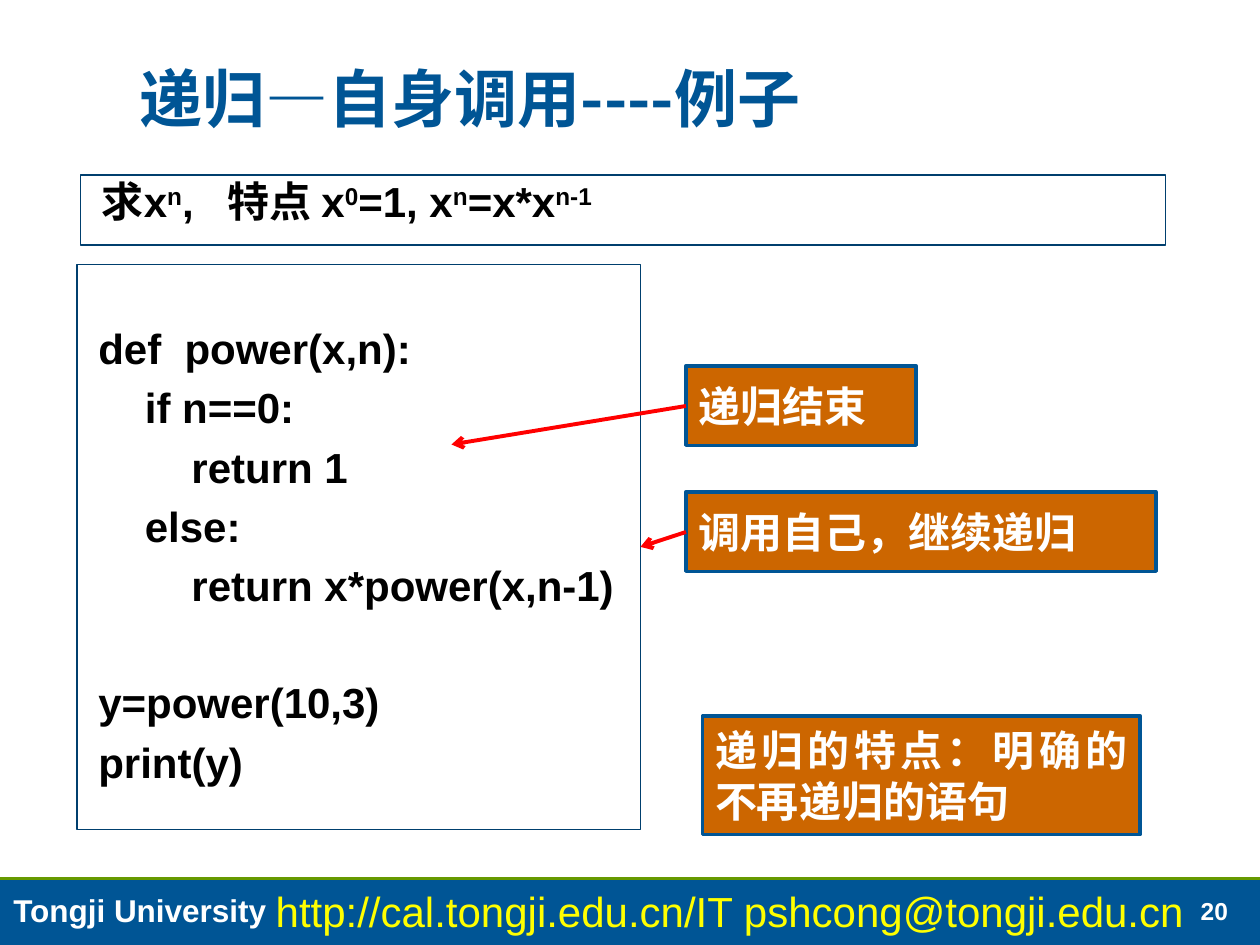
from lxml import etree
from pptx import Presentation
from pptx.dml.color import RGBColor
from pptx.enum import shapes, text
from pptx.oxml import ns
from pptx.util import Pt

CODE = [
    "def  power(x,n):",
    "    if n==0:",
    "        return 1",
    "    else:",
    "        return x*power(x,n-1)",
    "y=power(10,3)",
    "print(y)",
]
FORMULA = ["求x", "n", ",\t特点 x", "0", "=1, x", "n", "=x*x", "n-1"]


def color(value):
    return RGBColor.from_string(value)


def child(parent, tag, **attrs):
    return etree.SubElement(parent, ns.qn(tag), attrs)


class Deck:
    font = "Arial"
    cjk = "Noto Sans CJK SC"
    blue, navy, orange = "005595", "003F6E", "CC6600"
    green, red, yellow = "669900", "FF0000", "FFFF00"
    white, black = "FFFFFF", "000000"

    def __init__(self, prs):
        self.s = prs.slides.add_slide(prs.slide_layouts[3])

    def place(self, sp, box):
        sp.left, sp.top, sp.width, sp.height = [Pt(v) for v in box]

    def paint(self, sp, fill, line=None, width=0.75):
        sp.fill.solid()
        sp.fill.fore_color.rgb = color(fill)
        if line:
            sp.line.color.rgb = color(line)
            sp.line.width = Pt(width)
        else:
            sp.line.fill.background()

    def style(self, p, size, tint, bold=True, font=None):
        for r in p.runs:
            r.font.size, r.font.bold = Pt(size), bold
            r.font.name = font or self.font
            r.font.color.rgb = color(tint)
            child(r._r.get_or_add_rPr(), "a:ea", typeface=self.cjk)

    def title(self, words, box):
        sp = self.s.shapes.title
        self.place(sp, box)
        tf = sp.text_frame
        tf.text = words
        tf.auto_size = text.MSO_AUTO_SIZE.NONE
        tf.vertical_anchor = text.MSO_ANCHOR.BOTTOM
        tf.margin_left = Pt(32)
        p = tf.paragraphs[0]
        p.alignment = text.PP_ALIGN.LEFT
        p.line_spacing = 0.95
        self.style(p, 36, self.blue, font=self.cjk)

    def body(self, idx, box):
        sp = self.s.placeholders[idx]
        self.place(sp, box)
        self.paint(sp, self.white, self.navy)
        sp.text_frame.auto_size = text.MSO_AUTO_SIZE.NONE
        return sp.text_frame

    def body_line(self, p, before=0, tab=None):
        pPr = p._p.get_or_add_pPr()
        pPr.set("marL", str(Pt(5)))
        pPr.set("indent", "0")
        child(pPr, "a:buNone")
        if tab:
            child(child(pPr, "a:tabLst"), "a:tab", pos=str(Pt(tab)), algn="l")
        p.line_spacing = 0.9
        p.space_before = Pt(before)
        self.style(p, 24, self.black)

    def formula(self, parts, box):
        p = self.body(1, box).paragraphs[0]
        for i, part in enumerate(parts):
            r = p.add_run()
            r.text = part
            if i % 2:
                r._r.get_or_add_rPr().set("baseline", "30000")
        self.body_line(p, tab=89)

    def code(self, lines, box):
        tf = self.body(2, box)
        tf.margin_top = Pt(36.5)
        tf.text = "\n".join(lines)
        for i, p in enumerate(tf.paragraphs):
            before = 41 if p.text.startswith("y=") else 8
            self.body_line(p, before if i else 0)

    def rect(self, box, fill, line=None, width=0.75):
        sp = self.s.shapes.add_shape(shapes.MSO_SHAPE.RECTANGLE, *[Pt(v) for v in box])
        sp.shadow.inherit = False
        self.paint(sp, fill, line, width)
        return sp

    def callout(self, words, box):
        tf = self.rect(box, self.orange, self.blue, 2).text_frame
        tf.word_wrap = True
        tf.vertical_anchor = text.MSO_ANCHOR.MIDDLE
        tf.text = words
        p = tf.paragraphs[0]
        p.alignment = text.PP_ALIGN.JUSTIFY
        self.style(p, 24, self.white)

    def line(self, ends, tint, width, arrow=False):
        c = self.s.shapes.add_connector(
            shapes.MSO_CONNECTOR.STRAIGHT, *[Pt(v) for v in ends])
        c.line.color.rgb = color(tint)
        c.line.width = Pt(width)
        if arrow:
            child(c.line._get_or_add_ln(), "a:tailEnd", type="arrow")
        child(c._element.spPr, "a:effectLst")

    def label(self, words, box, size, tint, bold=True, wrap=True):
        tf = self.s.shapes.add_textbox(*[Pt(v) for v in box]).text_frame
        tf.word_wrap = wrap
        tf.text = words
        self.style(tf.paragraphs[0], size, tint, bold)

    def footer(self):
        self.rect((0, 502, 720, 38), self.blue)
        self.line((0, 502, 720, 502), self.green, 2)
        self.label("20", (679, 508.5, 38, 24), 14, self.white, wrap=False)
        self.label("Tongji University", (0.5, 505.5, 253, 29), 18, self.white)
        self.label("http://cal.tongji.edu.cn/IT pshcong@tongji.edu.cn",
                   (150.5, 502.5, 556, 36), 24, self.yellow, bold=False)


def main():
    prs = Presentation()
    prs.slide_width, prs.slide_height = Pt(720), Pt(540)
    deck = Deck(prs)
    deck.footer()
    deck.title("递归—自身调用----例子", (48, 26.5, 629, 55.5))
    deck.formula(FORMULA, (46, 100, 620, 40))
    deck.code(CODE, (44, 151, 322, 323))
    deck.callout("递归结束", (392, 209, 131.5, 45.5))
    deck.line((392, 232, 258, 254), deck.red, 2.25, arrow=True)
    deck.callout("调用自己，继续递归", (392, 281, 268.5, 45.5))
    deck.line((392, 304, 366, 312.5), deck.red, 2.25, arrow=True)
    deck.callout("递归的特点：明确的不再递归的语句", (401.5, 409, 250, 68))
    prs.save("out.pptx")


if __name__ == "__main__":
    main()
